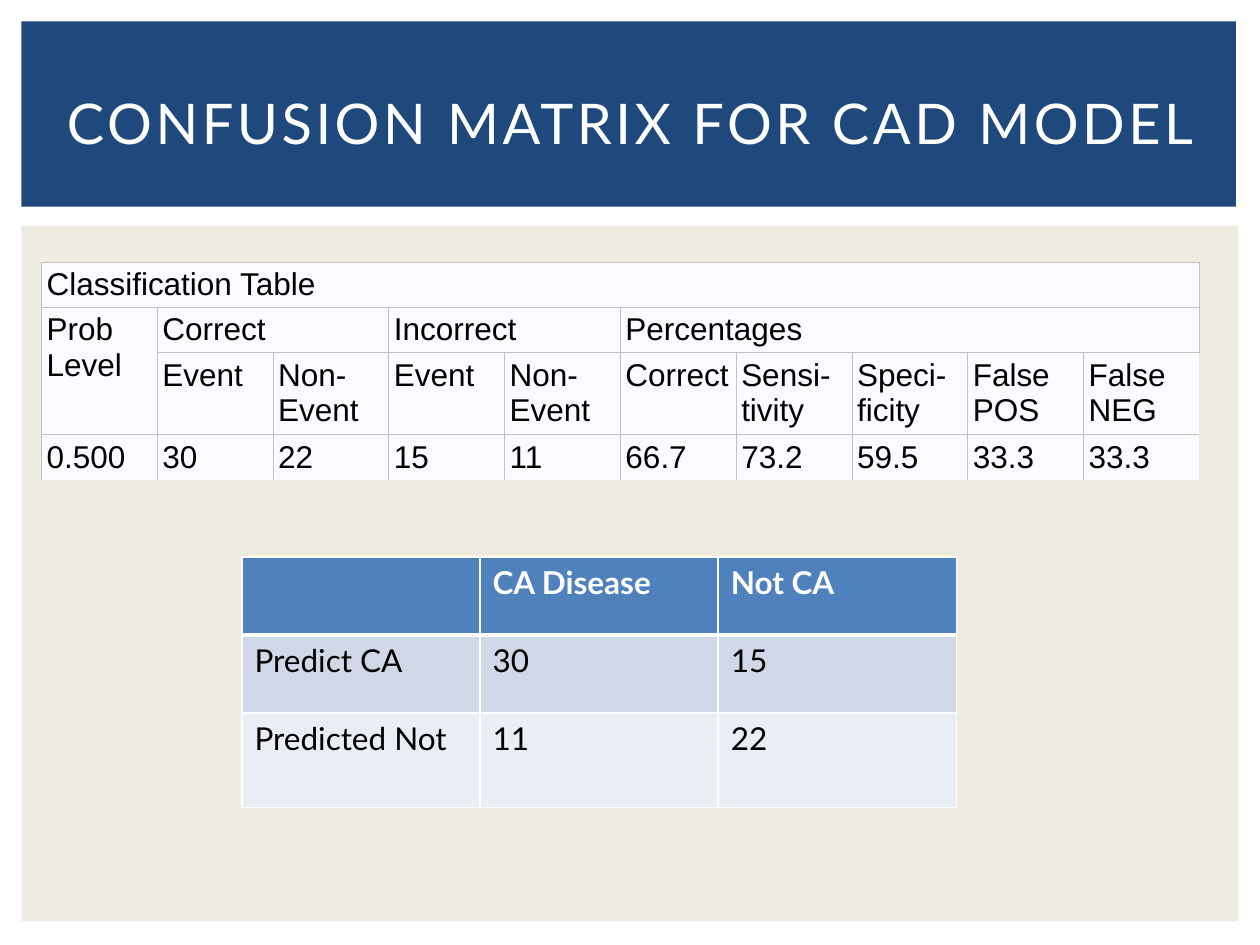
from lxml import etree
from pptx import Presentation
from pptx import util as u
from pptx.dml.color import RGBColor
from pptx.enum import shapes, text
from pptx.oxml import ns

NAVY = RGBColor(0x1F, 0x49, 0x7D)
CREAM = RGBColor(0xEE, 0xEC, 0xE1)
WHITE = RGBColor(0xFF, 0xFF, 0xFF)
BLACK = RGBColor(0, 0, 0)
PALE = RGBColor(0xFA, 0xFB, 0xFE)
GREY = RGBColor(0xC1, 0xC1, 0xC1)
BLUE = RGBColor(0x4F, 0x81, 0xBD)
BANDS = [BLUE, RGBColor(0xD0, 0xD8, 0xE8), RGBColor(0xE9, 0xED, 0xF4)]


def edge(cell, color, **sides):
    """Draw the cell's sides in order L, R, T, B; a width of 0 hides one."""
    props = cell._tc.get_or_add_tcPr()
    for side in "LRTB":
        line = etree.SubElement(props, ns.qn("a:ln" + side))
        line.set("w", str(int(u.Pt(sides[side]))))
        if sides[side]:
            fill = etree.SubElement(line, ns.qn("a:solidFill"))
            etree.SubElement(fill, ns.qn("a:srgbClr")).set("val", str(color))
        else:
            etree.SubElement(line, ns.qn("a:noFill"))


def style(para, words, face, color, bold=False, size=18):
    para.text = words
    for run in para.runs:
        font = run.font
        font.name, font.size, font.bold = face, u.Pt(size), bold
        font.color.rgb = color


deck = Presentation()
deck.slide_width, deck.slide_height = u.Inches(10), u.Inches(7.5)
slide = deck.slides.add_slide(deck.slide_layouts[6])
parts = slide.shapes

# Body panel and title band
for top, wide, high, color in [(1.79, 9.66, 5.52, CREAM), (0.17, 9.64, 1.47, NAVY)]:
    panel = parts.add_shape(shapes.MSO_SHAPE.RECTANGLE, u.Inches(0.17),
                            u.Inches(top), u.Inches(wide), u.Inches(high))
    panel.shadow.inherit = False
    panel.fill.solid()
    panel.fill.fore_color.rgb = color
    panel.line.fill.background()

# Classification table
rows = [
    ["Classification Table"] + [""] * 9,
    ["Prob\nLevel", "Correct", "", "Incorrect", "", "Percentages", "", "", "", ""],
    ["", "Event", "Non-\nEvent", "Event", "Non-\nEvent", "Correct",
     "Sensi-\ntivity", "Speci-\nficity", "False\nPOS", "False\nNEG"],
    ["0.500", "30", "22", "15", "11", "66.7", "73.2", "59.5", "33.3", "33.3"],
]
spans = [(0, 0, 0, 9), (1, 0, 2, 0), (1, 1, 1, 2), (1, 3, 1, 4), (1, 5, 1, 9)]
grid = parts.add_table(4, 10, u.Inches(0.33), u.Inches(2.08),
                       u.Inches(9.19), u.Inches(1.73)).table
for row, high in zip(grid.rows, [0.36, 0.36, 0.65, 0.36]):
    row.height = u.Inches(high)
for r, row in enumerate(rows):
    for c, words in enumerate(row):
        cell = grid.cell(r, c)
        cell.margin_left = cell.margin_right = u.Inches(0.04)
        cell.margin_top = cell.margin_bottom = u.Inches(0.04)
        edge(cell, GREY, L=0.6, R=0.6 * (c < 9), T=0.6, B=0.6 * (r < 3))
        cell.fill.solid()
        cell.fill.fore_color.rgb = PALE
        style(cell.text_frame.paragraphs[0], words, "Arial", BLACK)
for top, left, low, right in spans:
    grid.cell(top, left).merge(grid.cell(low, right))

# Title
box = parts.add_textbox(u.Inches(0.42), u.Inches(0.39), u.Inches(9.17), u.Inches(1.15))
frame = box.text_frame
frame.word_wrap = True
frame.margin_left = frame.margin_right = 0
frame.vertical_anchor = text.MSO_ANCHOR.MIDDLE
head = frame.paragraphs[0]
head.alignment = text.PP_ALIGN.CENTER
style(head, "CONFUSION MATRIX FOR CAD MODEL", "Lato", WHITE, size=32)
head.runs[0].font._element.set("spc", "200")

# Confusion matrix
rows = [["", "CA Disease", "Not CA"],
        ["Predict CA", "30", "15"],
        ["Predicted Not", "11", "22"]]
grid = parts.add_table(3, 3, u.Inches(1.92), u.Inches(4.42),
                       u.Inches(5.67), u.Inches(2)).table
for row, high in zip(grid.rows, [0.62, 0.62, 0.75]):
    row.height = u.Inches(high)
for r, row in enumerate(rows):
    for c, words in enumerate(row):
        cell = grid.cell(r, c)
        edge(cell, WHITE, L=1, R=1, T=3 if r == 1 else 1, B=3 if r == 0 else 1)
        cell.fill.solid()
        cell.fill.fore_color.rgb = BANDS[r]
        style(cell.text_frame.paragraphs[0], words, "Lato",
              BLACK if r else WHITE, bold=r == 0)

deck.save("out.pptx")
